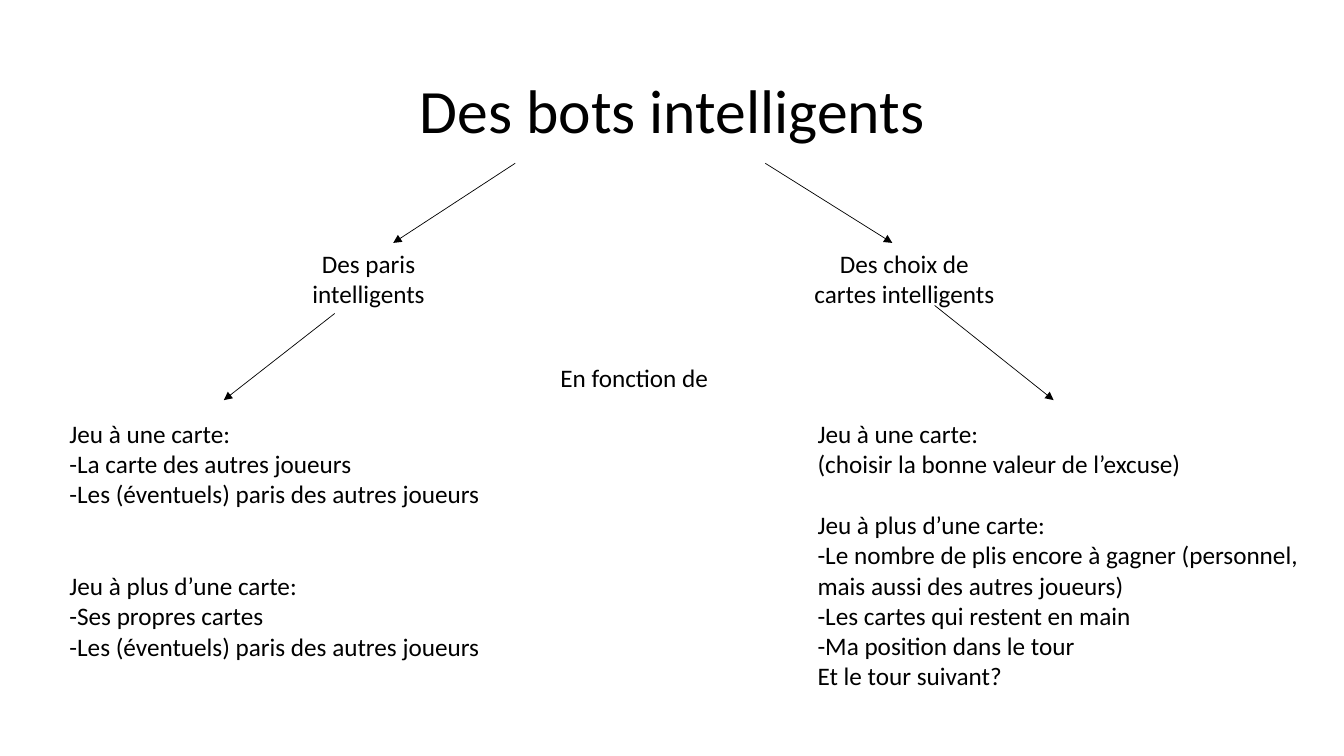
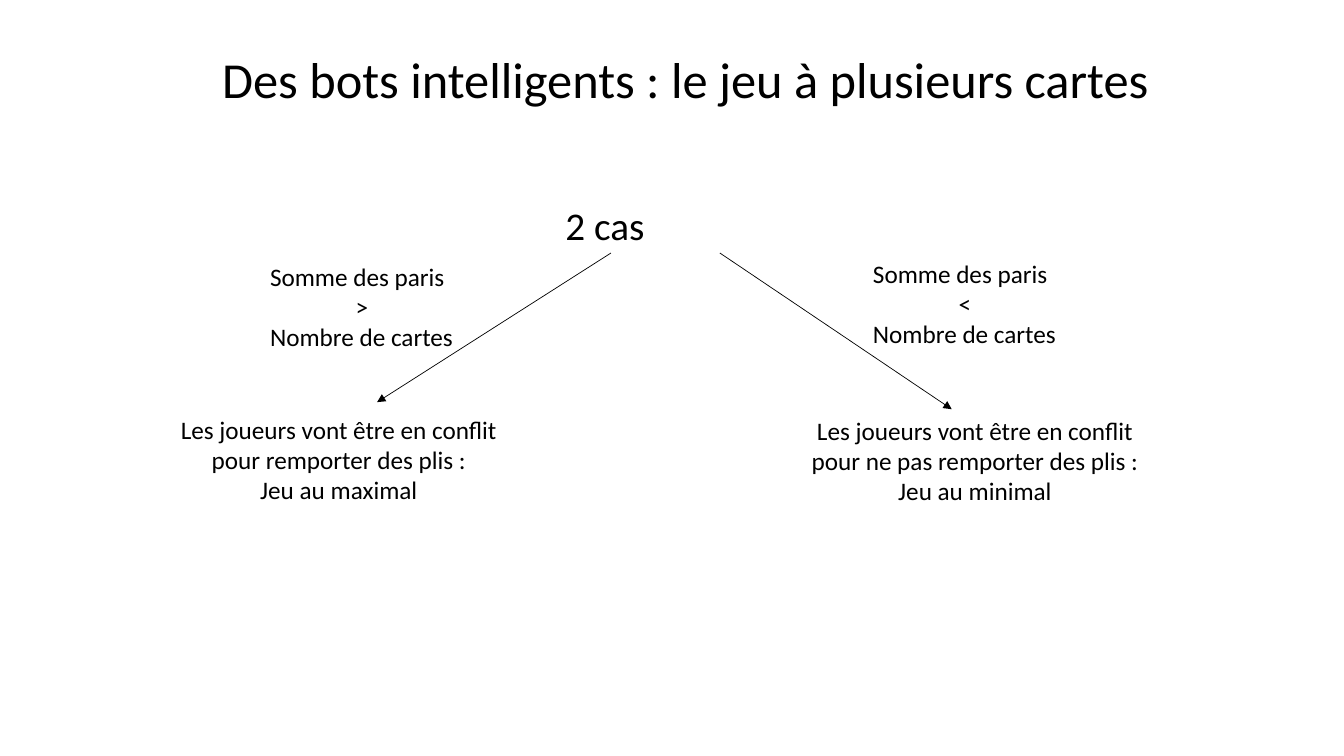
from dataclasses import dataclass

from lxml.etree import SubElement
from pptx import Presentation
from pptx.dml.color import RGBColor
from pptx.enum.shapes import MSO_CONNECTOR as Connector
from pptx.enum.text import MSO_ANCHOR as Anchor, MSO_AUTO_SIZE as AutoSize, PP_ALIGN as Align
from pptx.oxml.ns import qn
from pptx.presentation import Presentation as Deck
from pptx.slide import Slide
from pptx.text.text import _Paragraph as Paragraph
from pptx.util import Inches, Pt

FONT = "Calibri"
INK = "000000"
BODY_SIZE = 18
BODY_LINE = 22
TITLE_WIDTH, TITLE_HEIGHT = 11.5, 1.45


@dataclass(frozen=True)
class Line:
    text: str
    lines_before: int = 0
    indent: float = 0


@dataclass(frozen=True)
class Note:
    left: float
    top: float
    width: float
    height: float
    lines: tuple[Line, ...]
    align: Align = Align.LEFT
    size: int = BODY_SIZE
    spacing: float = 1.0


@dataclass(frozen=True)
class Arrow:
    start: tuple[float, float]
    end: tuple[float, float]


@dataclass(frozen=True)
class Page:
    title: str
    title_left: float
    title_top: float
    title_size: int
    notes: tuple[Note, ...]
    arrows: tuple[Arrow, ...]


def color(value: str) -> RGBColor:
    return RGBColor.from_string(value)


def format_paragraph(para: Paragraph, size: int, align: Align, spacing: float) -> None:
    para.alignment = align
    para.line_spacing = spacing
    for span in para.runs:
        span.font.name = FONT
        span.font.size = Pt(size)
        span.font.color.rgb = color(INK)


def add_title(slide: Slide, page: Page) -> None:
    title = slide.shapes.title
    title.left, title.top = Inches(page.title_left), Inches(page.title_top)
    title.width, title.height = Inches(TITLE_WIDTH), Inches(TITLE_HEIGHT)
    frame = title.text_frame
    frame.text = page.title
    frame.auto_size = AutoSize.NONE
    frame.vertical_anchor = Anchor.MIDDLE
    format_paragraph(frame.paragraphs[0], page.title_size, Align.CENTER, 0.9)


def add_note(slide: Slide, note: Note) -> None:
    box = slide.shapes.add_textbox(
        Inches(note.left), Inches(note.top), Inches(note.width), Inches(note.height)
    )
    frame = box.text_frame
    frame.word_wrap = True
    frame.text = "\n".join(line.text for line in note.lines)
    for para, line in zip(frame.paragraphs, note.lines):
        format_paragraph(para, note.size, note.align, note.spacing)
        if line.lines_before:
            para.space_before = Pt(line.lines_before * BODY_LINE)
        if line.indent:
            para._p.get_or_add_pPr().set("marL", str(Inches(line.indent)))


def add_arrow(slide: Slide, arrow: Arrow) -> None:
    points = [Inches(value) for value in arrow.start + arrow.end]
    connector = slide.shapes.add_connector(Connector.STRAIGHT, *points)
    connector.line.color.rgb = color(INK)
    connector.line.width = Pt(0.5)
    properties = connector._element.spPr
    SubElement(properties.find(qn("a:ln")), qn("a:tailEnd"), type="triangle")
    SubElement(properties, qn("a:effectLst"))


def add_page(deck: Deck, page: Page) -> None:
    slide = deck.slides.add_slide(deck.slide_layouts[5])
    add_title(slide, page)
    for note in page.notes:
        add_note(slide, note)
    for arrow in page.arrows:
        add_arrow(slide, arrow)


def comparison(left: float, top: float, sign: str) -> Note:
    lines = (Line("Somme des paris"), Line(sign, indent=0.85), Line("Nombre de cartes"))
    return Note(left, top, 2.89, 1.01, lines)


def outcome(left: float, top: float, width: float, goal: str, style: str) -> Note:
    lines = (
        Line(f"Les joueurs vont être en conflit pour {goal} des plis :"),
        Line(f"Jeu au {style}"),
    )
    return Note(left, top, width, 1.01, lines, Align.CENTER)


ONE_CARD = Line("Jeu à une carte:")
OTHER_BETS = Line("-Les (éventuels) paris des autres joueurs")
SEVERAL_CARDS = "Jeu à plus d’une carte:"

PAGES = (
    Page(
        "Des bots intelligents", 0.92, 0.4, 44,
        notes=(
            Note(2.71, 2.41, 1.89, 0.71, (Line("Des paris intelligents"),), Align.CENTER),
            Note(7.91, 2.41, 2.12, 0.71, (Line("Des choix de cartes intelligents"),), Align.CENTER),
            Note(5.46, 3.55, 1.68, 0.4, (Line("En fonction de"),)),
            Note(0.59, 4.1, 4.52, 2.52, (
                ONE_CARD,
                Line("-La carte des autres joueurs"),
                OTHER_BETS,
                Line(SEVERAL_CARDS, lines_before=2),
                Line("-Ses propres cartes"),
                OTHER_BETS,
            )),
            Note(8.01, 4.1, 5.08, 2.83, (
                ONE_CARD,
                Line("(choisir la bonne valeur de l’excuse)"),
                Line(SEVERAL_CARDS, lines_before=1),
                Line("-Le nombre de plis encore à gagner (personnel, mais aussi des autres joueurs)"),
                Line("-Les cartes qui restent en main"),
                Line("-Ma position dans le tour"),
                Line("Et le tour suivant?"),
            )),
        ),
        arrows=(
            Arrow((5.11, 1.62), (3.9, 2.41)),
            Arrow((7.59, 1.62), (8.85, 2.41)),
            Arrow((3.32, 3.11), (2.22, 3.97)),
            Arrow((9.27, 3.03), (10.45, 3.97)),
        ),
    ),
    Page(
        "Des bots intelligents : le jeu à plusieurs cartes", 1.05, 0.09, 36,
        notes=(
            Note(5, 2, 2, 0.5, (Line("2 cas"),), Align.CENTER, 28, 0.9),
            comparison(2.58, 2.54, ">"),
            comparison(8.56, 2.51, "<"),
            outcome(1.67, 4.06, 3.38, "remporter", "maximal"),
            outcome(7.89, 4.07, 3.56, "ne pas remporter", "minimal"),
        ),
        arrows=(
            Arrow((6.06, 2.51), (3.74, 3.99)),
            Arrow((7.14, 2.51), (9.44, 4.06)),
        ),
    ),
)


def main() -> None:
    deck = Presentation()
    deck.slide_width, deck.slide_height = Inches(13.33), Inches(7.5)
    for page in PAGES:
        add_page(deck, page)
    deck.save("out.pptx")


if __name__ == "__main__":
    main()
